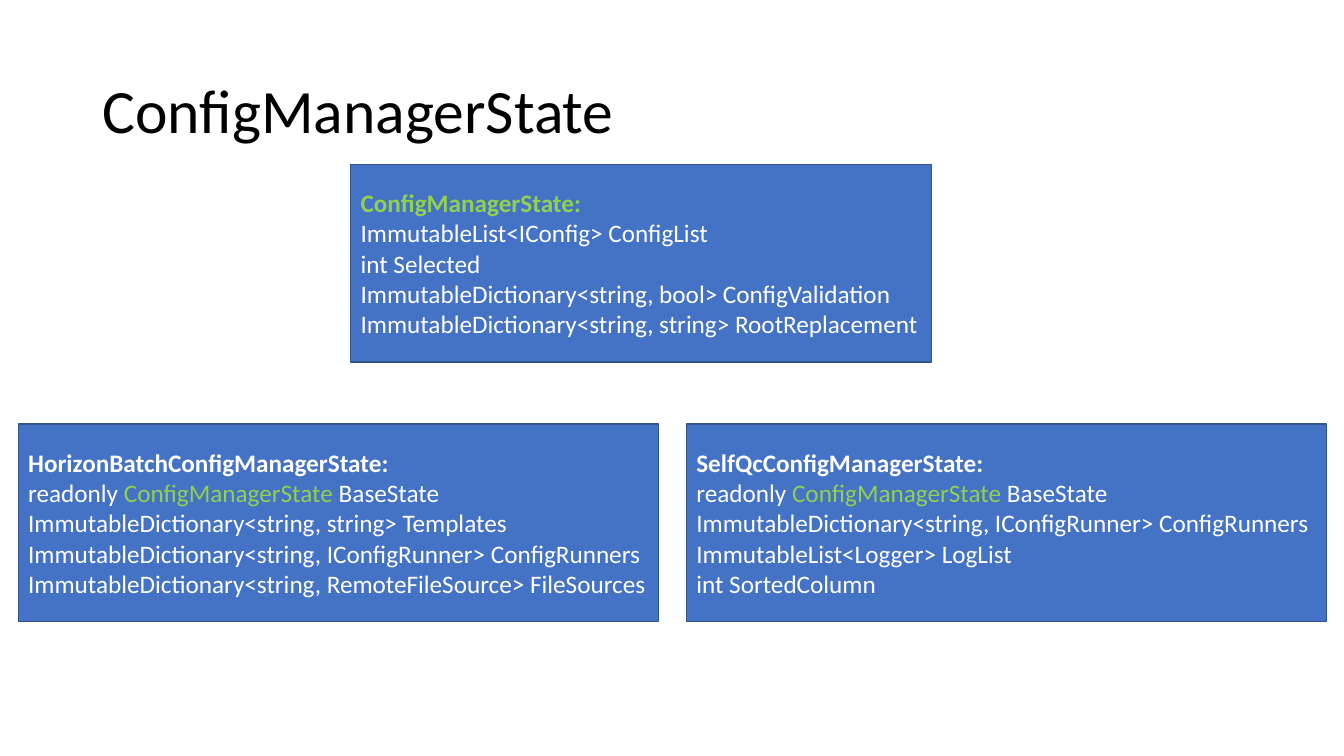
from dataclasses import dataclass

from pptx import Presentation
from pptx.dml.color import RGBColor
from pptx.enum.shapes import MSO_SHAPE
from pptx.enum.text import MSO_ANCHOR, MSO_AUTO_SIZE, PP_ALIGN
from pptx.util import Pt


@dataclass(frozen=True)
class Theme:
    font: str = "Calibri"
    title_size: int = 44
    body_size: int = 18
    ink: str = "000000"
    light: str = "FFFFFF"
    accent: str = "92D050"
    fill: str = "4472C4"
    outline: str = "325491"


THEME = Theme()
BOX_HEIGHT = 141
DERIVED_TOP = 303
DERIVED_WIDTH = 457.2
BASE_STATE = [("readonly ", THEME.light), ("ConfigManagerState ", THEME.accent),
              ("BaseState", THEME.light)]


def add_text(paragraph, text, *, size, color, bold=False):
    run = paragraph.add_run()
    run.text = text
    run.font.name = THEME.font
    run.font.size = Pt(size)
    run.font.bold = bold
    run.font.color.rgb = RGBColor.from_string(color)


class StateSlide:
    def __init__(self, presentation, theme):
        self.theme = theme
        self.slide = presentation.slides.add_slide(presentation.slide_layouts[5])

    def title(self, text, left, top, width, height):
        shape = self.slide.shapes.title
        shape.left, shape.top = Pt(left), Pt(top)
        shape.width, shape.height = Pt(width), Pt(height)
        frame = shape.text_frame
        frame.auto_size = MSO_AUTO_SIZE.NONE
        frame.vertical_anchor = MSO_ANCHOR.MIDDLE
        paragraph = frame.paragraphs[0]
        paragraph.alignment = PP_ALIGN.LEFT
        paragraph.line_spacing = 0.9
        add_text(paragraph, text, size=self.theme.title_size, color=self.theme.ink)

    def class_box(self, left, top, width, heading, members, heading_color=None):
        theme = self.theme
        shape = self.slide.shapes.add_shape(
            MSO_SHAPE.RECTANGLE, Pt(left), Pt(top), Pt(width), Pt(BOX_HEIGHT))
        shape.shadow.inherit = False
        shape.fill.solid()
        shape.fill.fore_color.rgb = RGBColor.from_string(theme.fill)
        shape.line.color.rgb = RGBColor.from_string(theme.outline)
        shape.line.width = Pt(1)
        frame = shape.text_frame
        frame.word_wrap = True
        frame.vertical_anchor = MSO_ANCHOR.MIDDLE
        paragraph = frame.paragraphs[0]
        paragraph.alignment = PP_ALIGN.LEFT
        add_text(paragraph, heading, size=theme.body_size,
                 color=heading_color or theme.light, bold=True)
        for member in members:
            paragraph = frame.add_paragraph()
            paragraph.alignment = PP_ALIGN.LEFT
            parts = [(member, theme.light)] if isinstance(member, str) else member
            for text, color in parts:
                add_text(paragraph, text, size=theme.body_size, color=color)


def main():
    presentation = Presentation()
    presentation.slide_width, presentation.slide_height = Pt(960), Pt(540)
    page = StateSlide(presentation, THEME)
    page.title("ConfigManagerState", 66, 28.8, 828, 104.4)
    page.class_box(250.5, 117.5, 414.7, "ConfigManagerState:", [
        "ImmutableList<IConfig> ConfigList",
        "int Selected",
        "ImmutableDictionary<string, bool> ConfigValidation",
        "ImmutableDictionary<string, string> RootReplacement",
    ], heading_color=THEME.accent)
    derived_states = [
        (13, "HorizonBatchConfigManagerState:", [
            "ImmutableDictionary<string, string> Templates",
            "ImmutableDictionary<string, IConfigRunner> ConfigRunners",
            "ImmutableDictionary<string, RemoteFileSource> FileSources",
        ]),
        (490.3, "SelfQcConfigManagerState:", [
            "ImmutableDictionary<string, IConfigRunner> ConfigRunners",
            "ImmutableList<Logger> LogList",
            "int SortedColumn",
        ]),
    ]
    for left, heading, members in derived_states:
        page.class_box(left, DERIVED_TOP, DERIVED_WIDTH, heading, [BASE_STATE, *members])
    presentation.save("out.pptx")


if __name__ == "__main__":
    main()
